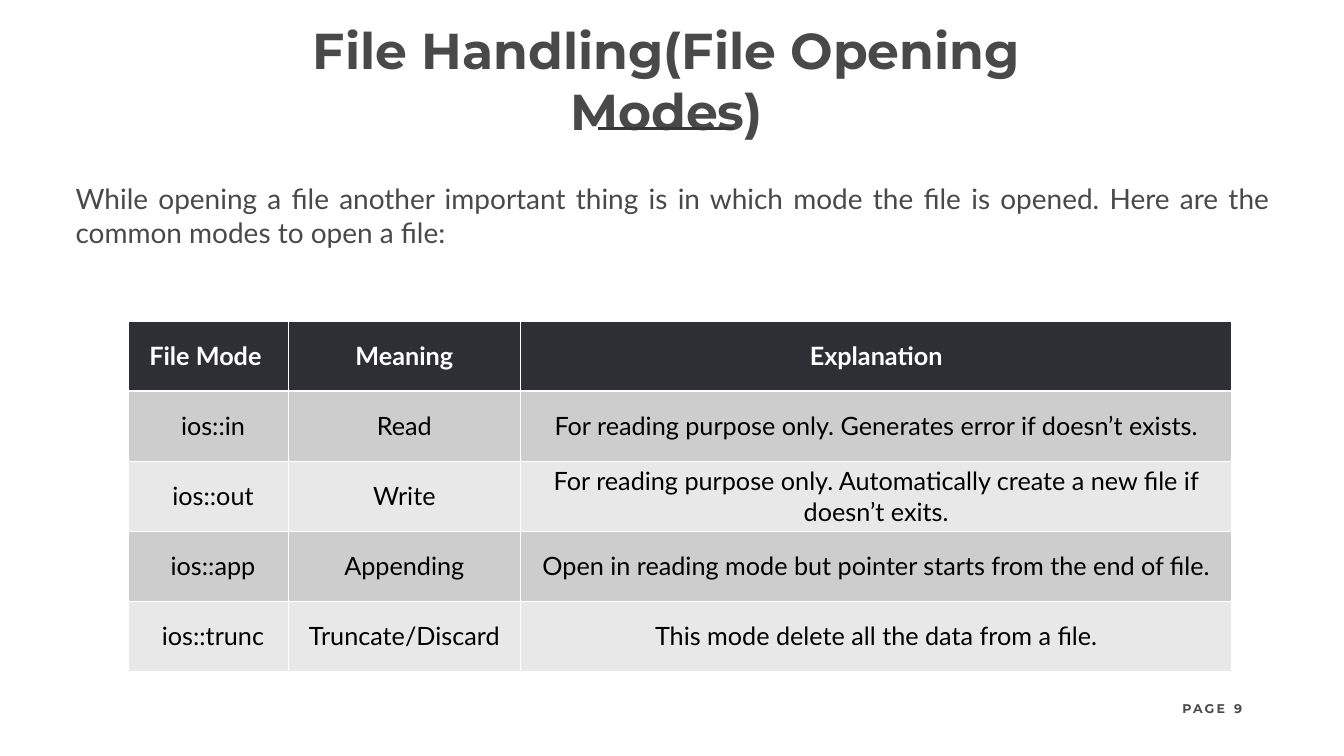
from dataclasses import dataclass
from typing import Any

from lxml.etree import SubElement
from pptx import Presentation
from pptx.dml.color import RGBColor
from pptx.enum.shapes import MSO_CONNECTOR
from pptx.enum.text import MSO_ANCHOR, PP_ALIGN
from pptx.oxml.ns import qn
from pptx.util import Inches, Pt

HUES = {
    "text": "494949",
    "rule": "373737",
    "head": "2E2E35",
    "odd": "CDCDCE",
    "even": "E8E8E8",
    "white": "FFFFFF",
    "black": "000000",
}
COLS = (3.17, 4.62, 14.1)
ROW = 1.39
ROWS = (
    ("File Mode", "Meaning", "Explanation"),
    ("ios::in", "Read",
     "For reading purpose only. Generates error if doesn’t exists."),
    ("ios::out", "Write",
     "For reading purpose only. Automatically create a new file if doesn’t exits."),
    ("ios::app", "Appending",
     "Open in reading mode but pointer starts from the end of file."),
    ("ios::trunc", "Truncate/Discard",
     "This mode delete all the data from a file."),
)


@dataclass
class Style:
    size: float
    font: str = "Montserrat"
    hue: str = "text"
    bold: bool = True
    track: float = 0


@dataclass
class Label:
    text: str
    box: tuple[float, float, float, float]
    style: Style
    align: PP_ALIGN = PP_ALIGN.CENTER
    anchor: MSO_ANCHOR = MSO_ANCHOR.MIDDLE
    pad: tuple[float, float] = (0, 0)
    wrap: bool = False
    before: float = 0


LABELS = (
    Label("9", (24.13, 13.81, 0.86, 0.5), Style(18),
          anchor=MSO_ANCHOR.TOP, pad=(0.2, 0.1)),
    Label("PAGE", (23.43, 13.91, 0.87, 0.3), Style(18, track=3),
          align=PP_ALIGN.RIGHT),
    Label("File Handling(File Opening Modes)", (6.02, 0.98, 14.4, 1.21),
          Style(72), wrap=True),
    Label("While opening a file another important thing is in which mode the "
          "file is opened. Here are the common modes to open a file:",
          (1.26, 3.48, 24.16, 1.59), Style(40, "Lato", bold=False),
          PP_ALIGN.JUSTIFY, MSO_ANCHOR.TOP, (0.24, 0.12), True, 8),
)


def color(name: str) -> RGBColor:
    return RGBColor.from_string(HUES[name])


def write(para: Any, text: str, style: Style, align: PP_ALIGN) -> None:
    para.alignment = align
    run = para.add_run()
    run.text = text
    font = run.font
    font.name, font.size, font.bold = style.font, Pt(style.size), style.bold
    font.color.rgb = color(style.hue)
    if style.track:
        run._r.get_or_add_rPr().set("spc", str(int(style.track * 100)))


def draw_label(slide: Any, label: Label) -> None:
    frame = slide.shapes.add_textbox(*map(Inches, label.box)).text_frame
    frame.word_wrap = label.wrap
    frame.vertical_anchor = label.anchor
    side, top = map(Inches, label.pad)
    frame.margin_left = frame.margin_right = side
    frame.margin_top = frame.margin_bottom = top
    para = frame.paragraphs[0]
    para.space_before = Pt(label.before)
    write(para, label.text, label.style, label.align)


def draw_rule(slide: Any) -> None:
    rule = slide.shapes.add_connector(
        MSO_CONNECTOR.STRAIGHT, Inches(11.86), Inches(2.55), Inches(14.57), Inches(2.55))
    rule.line.color.rgb = color("rule")
    rule.line.width = Pt(3)
    SubElement(rule._element.spPr, qn("a:effectLst"))


def edge(cell: Any, base: float) -> None:
    """Give a cell white borders; base is the width of the lower one."""
    props = cell._tc.get_or_add_tcPr()
    widths = {"lnL": 1, "lnR": 1, "lnT": 1, "lnB": base}
    for spot, (tag, width) in enumerate(widths.items()):
        line = SubElement(props, qn(f"a:{tag}"), w=str(Pt(width)))
        fill = SubElement(line, qn("a:solidFill"))
        SubElement(fill, qn("a:srgbClr"), val=HUES["white"])
        props.insert(spot, line)


def draw_table(slide: Any) -> None:
    table = slide.shapes.add_table(
        len(ROWS), len(COLS), Inches(2.54), Inches(6.37),
        Inches(sum(COLS)), Inches(ROW * len(ROWS))).table
    for col, width in zip(table.columns, COLS):
        col.width = Inches(width)
    for i, words in enumerate(ROWS):
        table.rows[i].height = Inches(ROW)
        head = i == 0
        shade = "head" if head else "odd" if i % 2 else "even"
        style = Style(36, "Lato", "white" if head else "black", head)
        for j, word in enumerate(words):
            cell = table.cell(i, j)
            cell.fill.solid()
            cell.fill.fore_color.rgb = color(shade)
            cell.vertical_anchor = MSO_ANCHOR.MIDDLE
            if j == 0:
                cell.margin_left = Inches(0.1 if head else 0.3)
                cell.margin_right = Inches(0.2 if head else 0.1)
            edge(cell, 3 if head or i == 0 else 1)
            if i == 1:
                cell._tc.tcPr.find(qn("a:lnT")).set("w", str(Pt(3)))
            write(cell.text_frame.paragraphs[0], word, style, PP_ALIGN.CENTER)


def main() -> None:
    deck = Presentation()
    deck.slide_width, deck.slide_height = Inches(26.66), Inches(15)
    slide = deck.slides.add_slide(deck.slide_layouts[6])
    for label in LABELS[:3]:
        draw_label(slide, label)
    draw_rule(slide)
    draw_label(slide, LABELS[3])
    draw_table(slide)
    deck.save("out.pptx")


if __name__ == "__main__":
    main()
